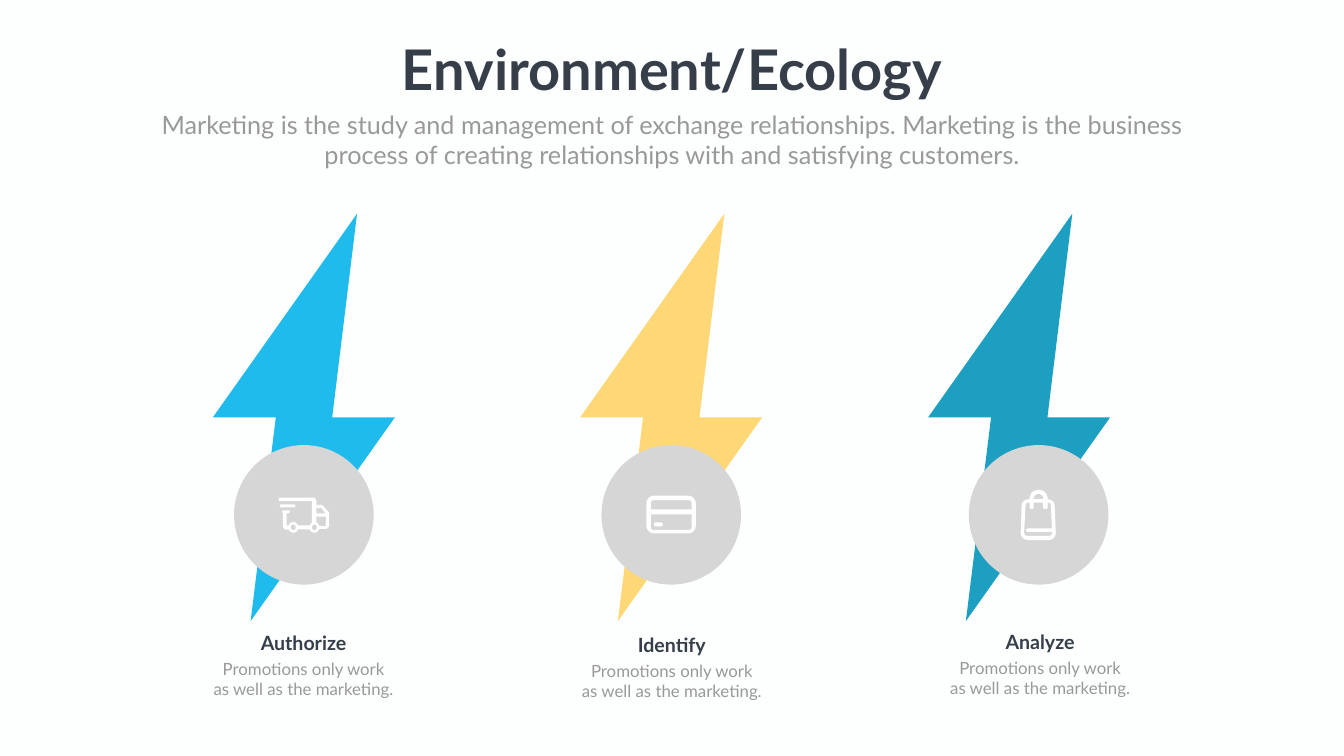
from pptx import Presentation
from pptx.dml.color import RGBColor
from pptx.enum.shapes import MSO_SHAPE
from pptx.enum.text import PP_ALIGN
from pptx.util import Pt

OVAL, RECT = MSO_SHAPE.OVAL, MSO_SHAPE.RECTANGLE
PILL, RING = MSO_SHAPE.ROUNDED_RECTANGLE, MSO_SHAPE.DONUT
CENTER = PP_ALIGN.CENTER
WIDE, HIGH = 1919.52, 1080
DARK, GRAY, DISC, WHITE = "353E49", "989998", "D6D6D6", "FFFFFF"

TITLE = "Environment/Ecology"
INTRO = ("Marketing is the study and management of exchange relationships. "
         "Marketing is the business process of creating relationships "
         "with and satisfying customers.")
NOTE = ["Promotions only work", "as well as the marketing."]

# name, colour, bolt left, label middle, label top
STEPS = [
    ("Authorize", "20BBED", 304, 433.5, 897.8),
    ("Identify", "FED777", 828.5, 959.5, 900),
    ("Analyze", "1C9FC0", 1325.5, 1485.5, 896.4),
]
BOLT = [(260, 291), (170.5, 291), (206, 0), (0, 291), (90, 291), (54, 582)]
BOLT_TOP = 305.3
DISC_MID, DISC_GAP, DISC_Y, DISC_SIZE = 434, 524.7, 735.5, 199.4


def box(x1, y1, x2, y2, r):
    return [(x1, y1, r), (x2, y1, r), (x2, y2, r), (x1, y2, r)]


# Icon parts, measured from the middle of the disc.
# Presets: kind, left, top, width, height. Outlines: rings of (x, y, radius).
TRUCK = {
    "presets": [
        (RECT, 15.1, -2.2, 18.7, 4.7),
        (RECT, -10.8, 15.1, 21.6, 5.8),
        (RING, 7.9, 10.1, 14.4, 15.5),
        (RING, -22.3, 10.1, 14.4, 15.5),
        (PILL, -34.5, -15.1, 22.5, 4.5),
        (PILL, -31, -6.5, 11.2, 4),
    ],
    "outlines": [
        [[(18, -14.4), (26, -14.4, 2), (36, -3), (36, 20, 5), (20, 20),
          (20, 16), (31, 16), (32, -1), (25, -9.5), (18, -9.5)]],
        [[(-36, -24.5, 2), (18, -24.5, 5), (18, 12.5), (11.5, 13),
          (11.5, -19.5), (-36, -19.5, 2)]],
        [[(-30, -3.6), (-24.5, -3.6), (-24.5, 15), (-20, 15), (-19, 21),
          (-30, 21, 5)]],
    ],
}
CARD = {
    "presets": [
        (RECT, -31.5, -7.9, 63.4, 7.2),
        (PILL, -25, 10.8, 13, 5.8),
    ],
    "outlines": [
        [box(-35.5, -27.4, 35, 26.6, 11), box(-29.2, -20.9, 29.2, 21.6, 4)],
    ],
}
BAG = {
    "presets": [(PILL, -18, 19.4, 40.3, 5)],
    "outlines": [
        [[(-24, -22.3, 9), (22.5, -22.3, 9), (25, 36, 11), (-26, 36, 11)],
         [(-18.5, -17.3, 3), (17.3, -17.3, 3), (19.5, 30.2, 5), (-21, 30.2, 5)]],
        [[(-13, -8.6, 2), (-13, -36, 13), (13, -36, 13), (13, -8.6, 2),
          (6.5, -8.6, 2), (6.5, -30, 6.5), (-7, -30, 6.5), (-7, -8.6, 2)]],
    ],
}
ICONS = [TRUCK, CARD, BAG]


def color(code):
    return RGBColor.from_string(code)


def paint(shape, code):
    shape.shadow.inherit = False
    shape.fill.solid()
    shape.fill.fore_color.rgb = color(code)
    shape.line.fill.background()


def toward(a, b, dist):
    """Return the point dist away from a on the way to b."""
    dx, dy = b[0] - a[0], b[1] - a[1]
    part = dist / (dx * dx + dy * dy) ** 0.5
    return a[0] + dx * part, a[1] + dy * part


def soften(ring):
    """Replace each corner that has a radius by a short curve."""
    out = []
    for i, spot in enumerate(ring):
        if len(spot) == 2:
            out.append(spot)
            continue
        a = toward(spot, ring[i - 1], spot[2])
        b = toward(spot, ring[(i + 1) % len(ring)], spot[2])
        for t in (0, 0.2, 0.4, 0.6, 0.8, 1):
            # A conic with this weight is a true arc at a right angle.
            u, v, w = (1 - t) ** 2, 1.414 * t * (1 - t), t * t
            out.append(tuple((u * a[k] + v * spot[k] + w * b[k]) / (u + v + w)
                             for k in (0, 1)))
    return out


def outline(slide, rings, left, top, code):
    pen = None
    for ring in rings:
        spots = [(Pt(left + x), Pt(top + y)) for x, y in soften(ring)]
        if pen is None:
            pen = slide.shapes.build_freeform(*spots[0], scale=1.0)
        else:
            pen.move_to(*spots[0])
        pen.add_line_segments(spots[1:], close=True)
    paint(pen.convert_to_shape(), code)


def preset(slide, kind, left, top, wide, high, code):
    shape = slide.shapes.add_shape(kind, Pt(left), Pt(top), Pt(wide), Pt(high))
    if kind == PILL:
        shape.adjustments[0] = 0.5
    paint(shape, code)


def text(slide, lines, mid, top, wide, high, size, code, bold=False, wrap=True):
    area = slide.shapes.add_textbox(Pt(mid - wide / 2), Pt(top), Pt(wide), Pt(high))
    frame = area.text_frame
    frame.word_wrap = wrap
    look = {"name": "Lato", "size": Pt(size), "bold": bold}
    for i, line in enumerate(lines):
        para = frame.add_paragraph() if i else frame.paragraphs[0]
        para.alignment = CENTER
        run = para.add_run()
        run.text = line
        for key, value in look.items():
            setattr(run.font, key, value)
        run.font.color.rgb = color(code)


def main():
    deck = Presentation()
    deck.slide_width, deck.slide_height = Pt(WIDE), Pt(HIGH)
    slide = deck.slides.add_slide(deck.slide_layouts[6])
    slide.background.fill.solid()
    slide.background.fill.fore_color.rgb = color("FDFFFE")

    text(slide, [TITLE], WIDE / 2, 45.4, 805, 104.4, 80, DARK, True, False)
    text(slide, [INTRO], WIDE / 2, 152, 1499, 94.3, 36, GRAY)
    for i, (name, code, left, mid, top) in enumerate(STEPS):
        outline(slide, [BOLT], left, BOLT_TOP, code)
        x, half = DISC_MID + i * DISC_GAP, DISC_SIZE / 2
        preset(slide, OVAL, x - half, DISC_Y - half, DISC_SIZE, DISC_SIZE, DISC)
        for kind, dx, dy, wide, high in ICONS[i]["presets"]:
            preset(slide, kind, x + dx, DISC_Y + dy, wide, high, WHITE)
        for rings in ICONS[i]["outlines"]:
            outline(slide, rings, x, DISC_Y, WHITE)
        text(slide, [name], mid, top, 158.4, 41, 28, DARK, True)
        text(slide, NOTE, mid, top + 39.8, 280.8, 65.5, 24, GRAY)
    deck.save("out.pptx")


if __name__ == "__main__":
    main()
